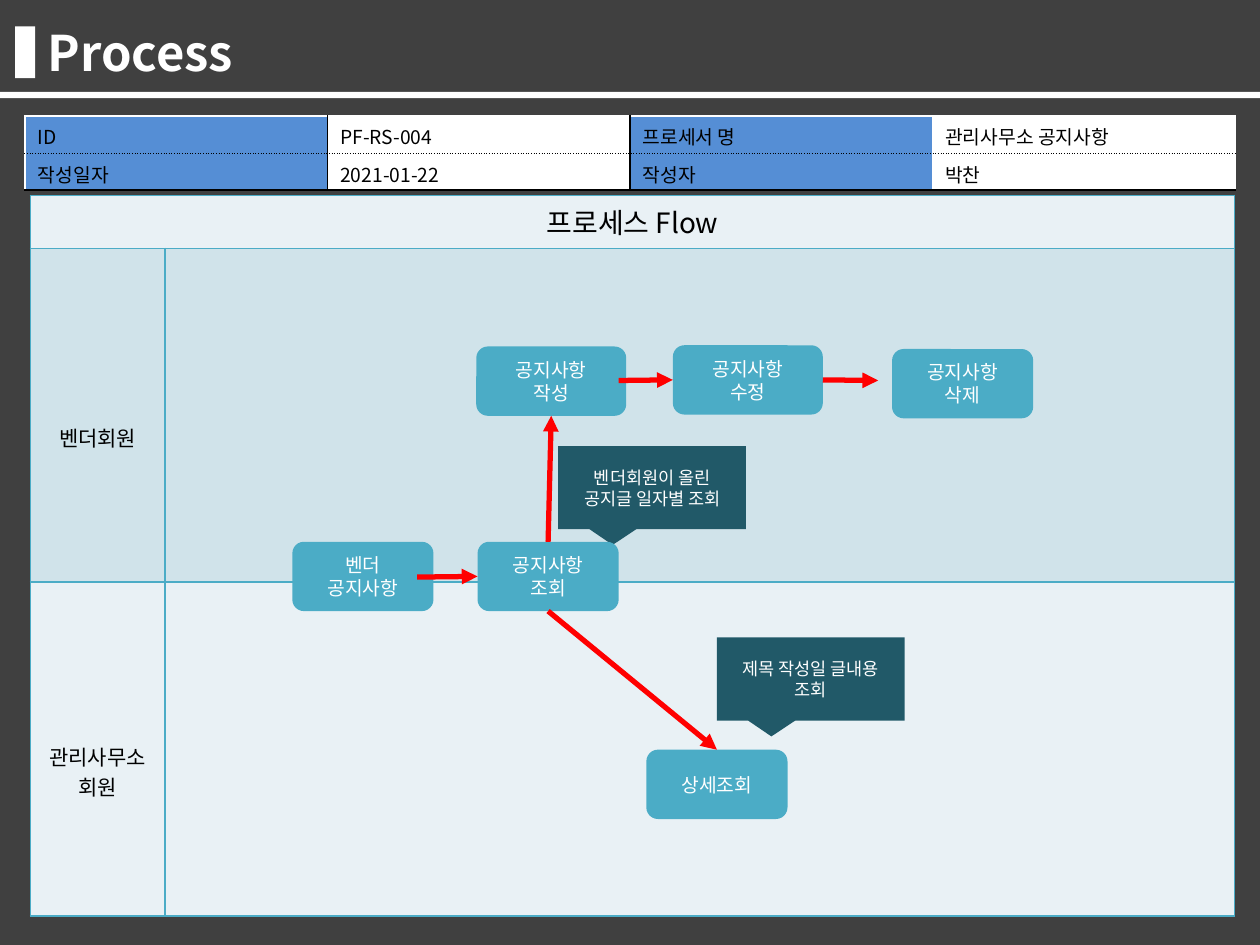
import pptx
import pptx.dml.color
import pptx.enum.shapes
import pptx.enum.text
import pptx.oxml
import pptx.oxml.ns
import pptx.util

Inches = pptx.util.Inches
Pt = pptx.util.Pt
RGBColor = pptx.dml.color.RGBColor
Kind = pptx.enum.shapes.MSO_SHAPE
Align = pptx.enum.text.PP_ALIGN
Anchor = pptx.enum.text.MSO_ANCHOR

FONT = "Noto Sans CJK KR"
NAMES = pptx.oxml.ns.nsdecls("a")
DARK = RGBColor(0x40, 0x40, 0x40)
WHITE = RGBColor(0xFF, 0xFF, 0xFF)
BLACK = RGBColor(0, 0, 0)
TEAL = RGBColor(0x4B, 0xAC, 0xC6)
DEEP = RGBColor(0x21, 0x59, 0x68)
BLUE = RGBColor(0x55, 0x8E, 0xD5)
PALE = RGBColor(0xE9, 0xF1, 0xF5)
MIST = RGBColor(0xD0, 0xE3, 0xEA)
RED = RGBColor(0xFF, 0, 0)


class Page:
    def __init__(self, deck):
        self.slide = deck.slides.add_slide(deck.slide_layouts[5])
        self.shapes = self.slide.shapes
        fill = self.slide.background.fill
        fill.solid()
        fill.fore_color.rgb = DARK

    def label(self, frame, text, size, color, align=Align.LEFT, bold=False):
        frame.text = text
        frame.word_wrap = True
        for para in frame.paragraphs:
            para.alignment = align
            for run in para.runs:
                font = run.font
                font.name, font.size, font.bold = FONT, Pt(size), bold
                font.color.rgb = color
                # East Asian typeface follows the Latin one
                latin = run._r.rPr.find(pptx.oxml.ns.qn("a:latin"))
                latin.addnext(pptx.oxml.parse_xml(
                    f'<a:ea {NAMES} typeface="{FONT}"/>'))

    def title(self, text, left, top, width, height):
        box = self.shapes.title
        box.left, box.top = Inches(left), Inches(top)
        box.width, box.height = Inches(width), Inches(height)
        box.text_frame.vertical_anchor = Anchor.MIDDLE
        self.label(box.text_frame, text, 28, WHITE, bold=True)

    def shape(self, kind, left, top, width, height, color):
        item = self.shapes.add_shape(
            kind, Inches(left), Inches(top), Inches(width), Inches(height))
        item.shadow.inherit = False
        item.fill.solid()
        item.fill.fore_color.rgb = color
        item.line.fill.background()
        return item

    def step(self, text, left, top, width=1.12):
        item = self.shape(Kind.ROUNDED_RECTANGLE, left, top, width, 0.55, TEAL)
        frame = item.text_frame
        frame.margin_left = frame.margin_right = Inches(0.11)
        frame.vertical_anchor = Anchor.MIDDLE
        self.label(frame, text, 11, WHITE, Align.CENTER)
        return item

    def note(self, text, left, top):
        item = self.shape(
            Kind.RECTANGULAR_CALLOUT, left, top, 1.49, 0.66, DEEP)
        item.adjustments[0], item.adjustments[1] = -0.21, 0.69
        item.text_frame.vertical_anchor = Anchor.MIDDLE
        self.label(item.text_frame, text, 10, WHITE, Align.CENTER)

    def arrow(self, start, end):
        """Each end is a point (x, y) or a joined (shape, side)."""
        joins = [hasattr(tip[0], "left") for tip in (start, end)]
        spots = [(0, 0) if join else tip
                 for join, tip in zip(joins, (start, end))]
        line = self.shapes.add_connector(
            pptx.enum.shapes.MSO_CONNECTOR.STRAIGHT,
            *[Inches(n) for spot in spots for n in spot])
        if joins[0]:
            line.begin_connect(*start)
        if joins[1]:
            line.end_connect(*end)
        line.line.color.rgb = RED
        line.line.width = Pt(3)
        props = line._element.spPr
        props.find(pptx.oxml.ns.qn("a:ln")).append(
            pptx.oxml.parse_xml(f'<a:tailEnd {NAMES} type="triangle"/>'))
        props.append(pptx.oxml.parse_xml(f"<a:effectLst {NAMES}/>"))

    def table(self, left, top, cols, rows):
        grid = self.shapes.add_table(
            len(rows), len(cols), Inches(left), Inches(top),
            Inches(sum(cols)), Inches(sum(rows))).table
        grid.first_row = grid.horz_banding = False
        for col, width in zip(grid.columns, cols):
            col.width = Inches(width)
        for row, height in zip(grid.rows, rows):
            row.height = Inches(height)
        return grid

    def cell(self, cell, fill, edges):
        """Edges are (color, dash) for left, right, top and bottom."""
        props = cell._tc.get_or_add_tcPr()
        for side, (color, dash) in zip("LRTB", edges):
            props.append(pptx.oxml.parse_xml(
                f'<a:ln{side} {NAMES} w="12700">'
                f'<a:solidFill><a:srgbClr val="{color}"/></a:solidFill>'
                f'<a:prstDash val="{dash}"/></a:ln{side}>'))
        cell.fill.solid()
        cell.fill.fore_color.rgb = fill


def main():
    deck = pptx.Presentation()
    deck.slide_width, deck.slide_height = Inches(10), Inches(7.5)
    page = Page(deck)

    # Heading
    page.title("Process", 0.28, 0.13, 8.98, 0.57)
    page.shape(Kind.RECTANGLE, 0.12, 0.21, 0.16, 0.41, WHITE)
    page.shape(Kind.RECTANGLE, 0, 0.73, 10, 0.05, WHITE)

    # Swimlanes
    lanes = page.table(0.24, 1.55, [1.07, 8.49], [0.42, 2.65, 2.65])
    names = ["프로세스 Flow", "벤더회원", "관리사무소 회원"]
    for r, (name, fill) in enumerate(zip(names, [PALE, MIST, PALE])):
        for c in range(2):
            page.cell(lanes.cell(r, c), fill, [(TEAL, "solid")] * 4)
        head = lanes.cell(r, 0)
        head.vertical_anchor = Anchor.MIDDLE
        if r:
            head.margin_top = Inches(0.4)
        page.label(head.text_frame, name, 12 if r else 16, BLACK, Align.CENTER)
    lanes.cell(0, 0).merge(lanes.cell(0, 1))

    # Document details
    info = page.table(0.2, 0.92, [2.4] * 4, [0.3, 0.29])
    data = [["ID", "PF-RS-004", "프로세서 명", "관리사무소 공지사항"],
            ["작성일자", "2021-01-22", "작성자", "박찬"]]
    rules = [(WHITE, "solid"), (BLACK, "sysDot"), (BLACK, "solid")]
    walls = [(tone, "solid") for tone in (WHITE, BLACK, BLACK, WHITE, WHITE)]
    for r, texts in enumerate(data):
        for c, text in enumerate(texts):
            cell = info.cell(r, c)
            page.cell(cell, WHITE if c % 2 else BLUE,
                      walls[c:c + 2] + rules[r:r + 2])
            cell.margin_bottom = Inches(0.01)
            page.label(cell.text_frame, text, 11, BLACK)

    # Notes
    page.note("벤더회원이 올린 공지글 일자별 조회", 4.43, 3.54)
    page.note("제목 작성일 글내용 조회", 5.69, 5.06)

    # Steps
    page.step("벤더 공지사항", 2.32, 4.3)
    view = page.step("공지사항 조회", 3.79, 4.3)
    make = page.step("공지사항\n작성", 3.78, 2.75, 1.19)
    edit = page.step("공지사항\n수정", 5.34, 2.74, 1.19)
    page.step("공지사항\n삭제", 7.08, 2.77)
    detail = page.step("상세조회", 5.13, 5.95)

    # Flow
    page.arrow((3.31, 4.58), (view, 1))
    page.arrow((view, 0), (make, 2))
    page.arrow((view, 2), (detail, 0))
    page.arrow((4.91, 3.02), (edit, 1))
    page.arrow((edit, 3), (6.97, 3.02))

    deck.save("out.pptx")


if __name__ == "__main__":
    main()
